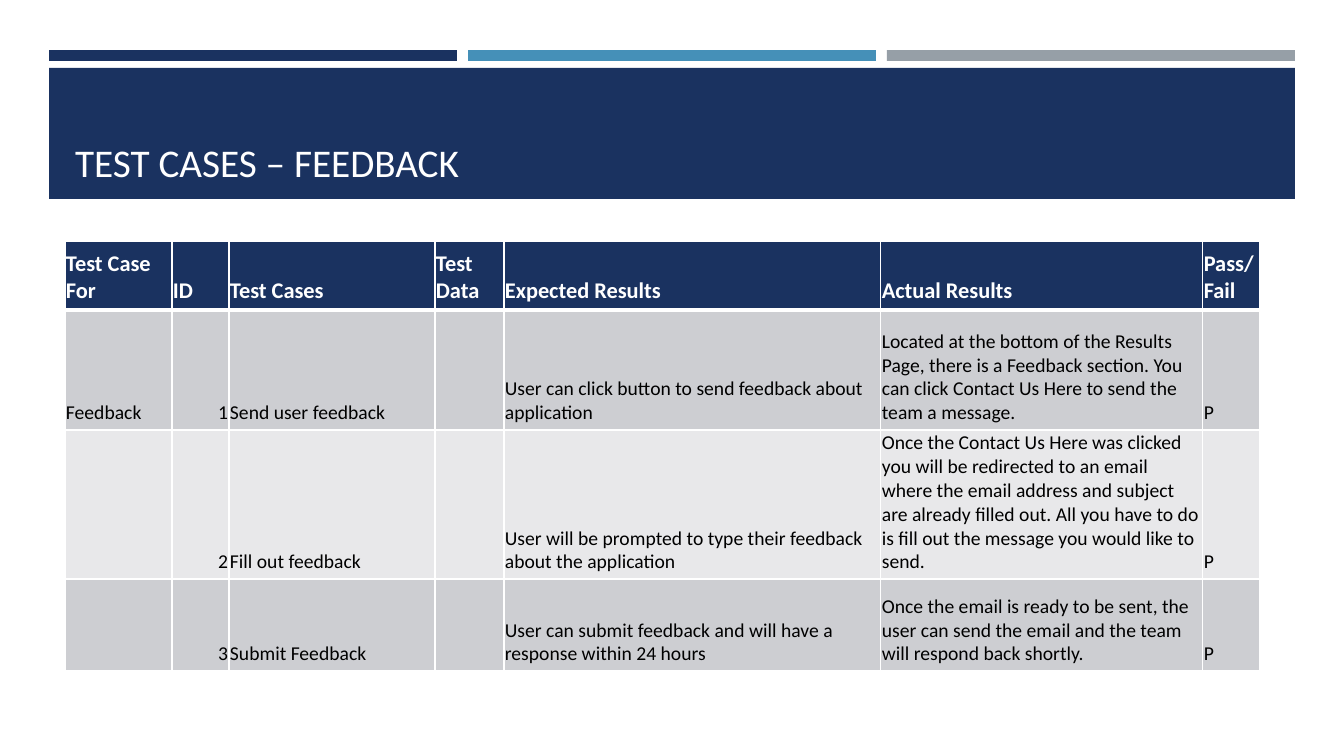
import pptx
import pptx.dml.color
import pptx.enum.shapes
import pptx.enum.text
import pptx.oxml
import pptx.oxml.ns
import pptx.util

EMU_PER_PX = 12192000 / 1344
COLOURS = {
    "navy": "1A3260",
    "blue": "4590B8",
    "grey": "969FA7",
    "dark band": "CDCED2",
    "light band": "E8E8EA",
    "white": "FFFFFF",
    "black": "000000",
}
ANCHOR = pptx.enum.text.MSO_ANCHOR
ALIGN = pptx.enum.text.PP_ALIGN


def px(length):
    return pptx.util.Emu(round(length * EMU_PER_PX))


def rgb(name):
    return pptx.dml.color.RGBColor.from_string(COLOURS[name])


presentation = pptx.Presentation()
presentation.slide_width = px(1344)
presentation.slide_height = px(756)
slide = presentation.slides.add_slide(presentation.slide_layouts[5])

# Three accent bars and the title band
bands = [(49 + 419 * index, 50, 408, 11, colour)
         for index, colour in enumerate(["navy", "blue", "grey"])]
bands.append((49, 68, 1246, 131, "navy"))
for left, top, width, height, colour in bands:
    shape = slide.shapes.add_shape(
        pptx.enum.shapes.MSO_SHAPE.RECTANGLE,
        px(left), px(top), px(width), px(height))
    shape.shadow.inherit = False
    shape.fill.solid()
    shape.fill.fore_color.rgb = rgb(colour)
    shape.line.fill.background()

# Title, brought in front of its band
title = slide.shapes.title
slide.shapes._spTree.append(title._element)
title.left, title.top, title.width, title.height = px(65), px(78), px(1216), px(112)
title.text_frame.text = "TEST CASES – FEEDBACK"
title.text_frame.vertical_anchor = ANCHOR.BOTTOM
title.text_frame.auto_size = pptx.enum.text.MSO_AUTO_SIZE.NONE
paragraph = title.text_frame.paragraphs[0]
paragraph.alignment = ALIGN.LEFT
paragraph.font.name = "Calibri"
paragraph.font.size = pptx.util.Pt(28)
paragraph.font.color.rgb = rgb("white")

# Test case table
column_widths = [107, 57, 206, 69, 377, 322, 57]
row_heights = [69, 120, 148, 92]
rows = [
    ["Test Case For", "ID", "Test Cases", "Test Data", "Expected Results",
     "Actual Results", "Pass/Fail"],
    ["Feedback", "1", "Send user feedback", "",
     "User can click button to send feedback about application",
     "Located at the bottom of the Results Page, there is a Feedback section. "
     "You can click Contact Us Here to send the team a message.", "P"],
    ["", "2", "Fill out feedback", "",
     "User will be prompted to type their feedback about the application",
     "Once the Contact Us Here was clicked you will be redirected to an email "
     "where the email address and subject are already filled out. All you have "
     "to do is fill out the message you would like to send.", "P"],
    ["", "3", "Submit Feedback", "",
     "User can submit feedback and will have a response within 24 hours",
     "Once the email is ready to be sent, the user can send the email and the "
     "team will respond back shortly.", "P"],
]
row_fills = ["navy", "dark band", "light band", "dark band"]
cell_format = {
    "vertical_anchor": ANCHOR.BOTTOM,
    "margin_left": px(1),
    "margin_right": px(1),
    "margin_top": px(1),
    "margin_bottom": px(5),
}
header_font = {"name": "Calibri", "size": pptx.util.Pt(16), "bold": True}
body_font = {"name": "Calibri", "size": pptx.util.Pt(14), "bold": False}

table = slide.shapes.add_table(
    len(rows), len(column_widths), px(65), px(241),
    px(sum(column_widths)), px(sum(row_heights))).table
for column, width in zip(table.columns, column_widths):
    column.width = px(width)
for row, height in zip(table.rows, row_heights):
    row.height = px(height)

for row_index, texts in enumerate(rows):
    is_header = row_index == 0
    for column_index, text in enumerate(texts):
        cell = table.cell(row_index, column_index)
        cell.text = text
        for name, value in cell_format.items():
            setattr(cell, name, value)
        paragraph = cell.text_frame.paragraphs[0]
        if column_index == 1 and not is_header:
            paragraph.alignment = ALIGN.RIGHT
        for name, value in (header_font if is_header else body_font).items():
            setattr(paragraph.font, name, value)
        paragraph.font.color.rgb = rgb("white" if is_header else "black")

        # White borders, thicker between the header and the body
        properties = cell._tc.get_or_add_tcPr()
        for side in ["L", "R", "T", "B"]:
            thick = (row_index, side) in [(0, "B"), (1, "T")]
            properties.append(pptx.oxml.parse_xml(
                f'<a:ln{side} {pptx.oxml.ns.nsdecls("a")} w="{38100 if thick else 12700}">'
                f'<a:solidFill><a:srgbClr val="{COLOURS["white"]}"/></a:solidFill>'
                f'</a:ln{side}>'))
        cell.fill.solid()
        cell.fill.fore_color.rgb = rgb(row_fills[row_index])

presentation.save("out.pptx")
